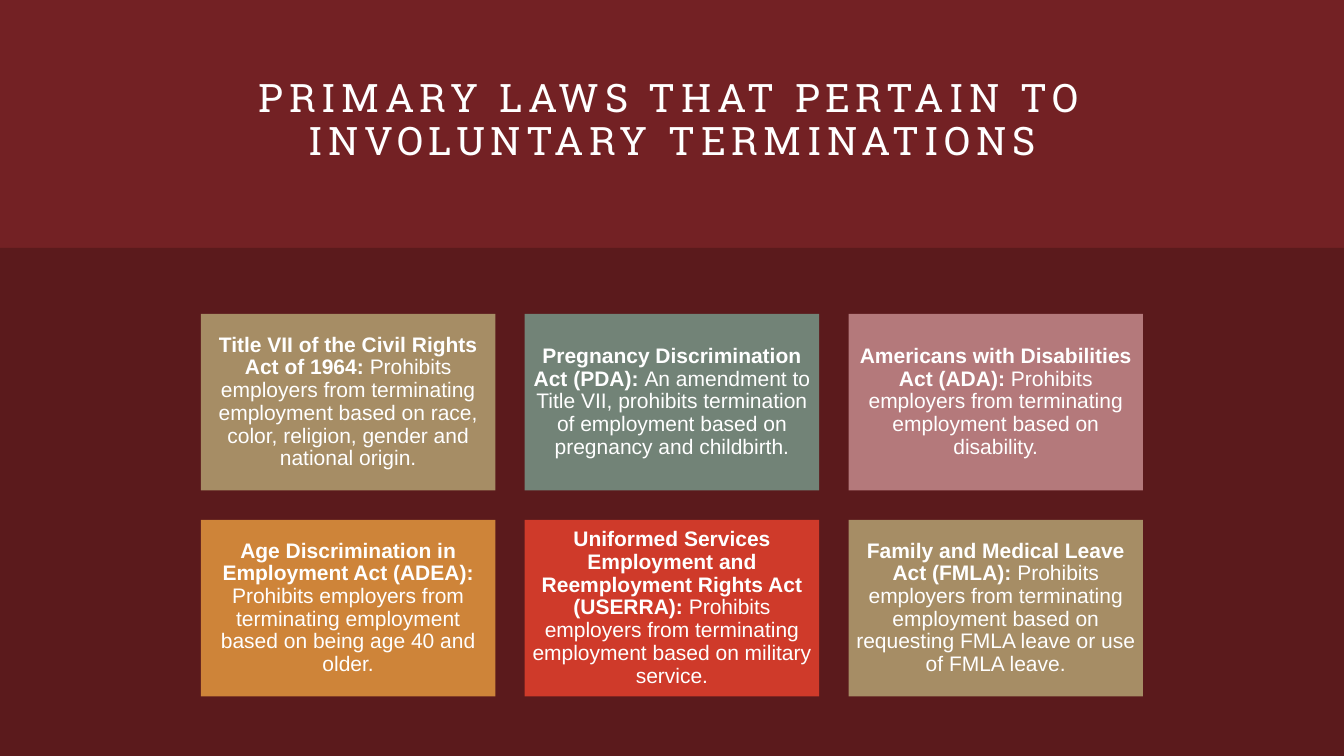
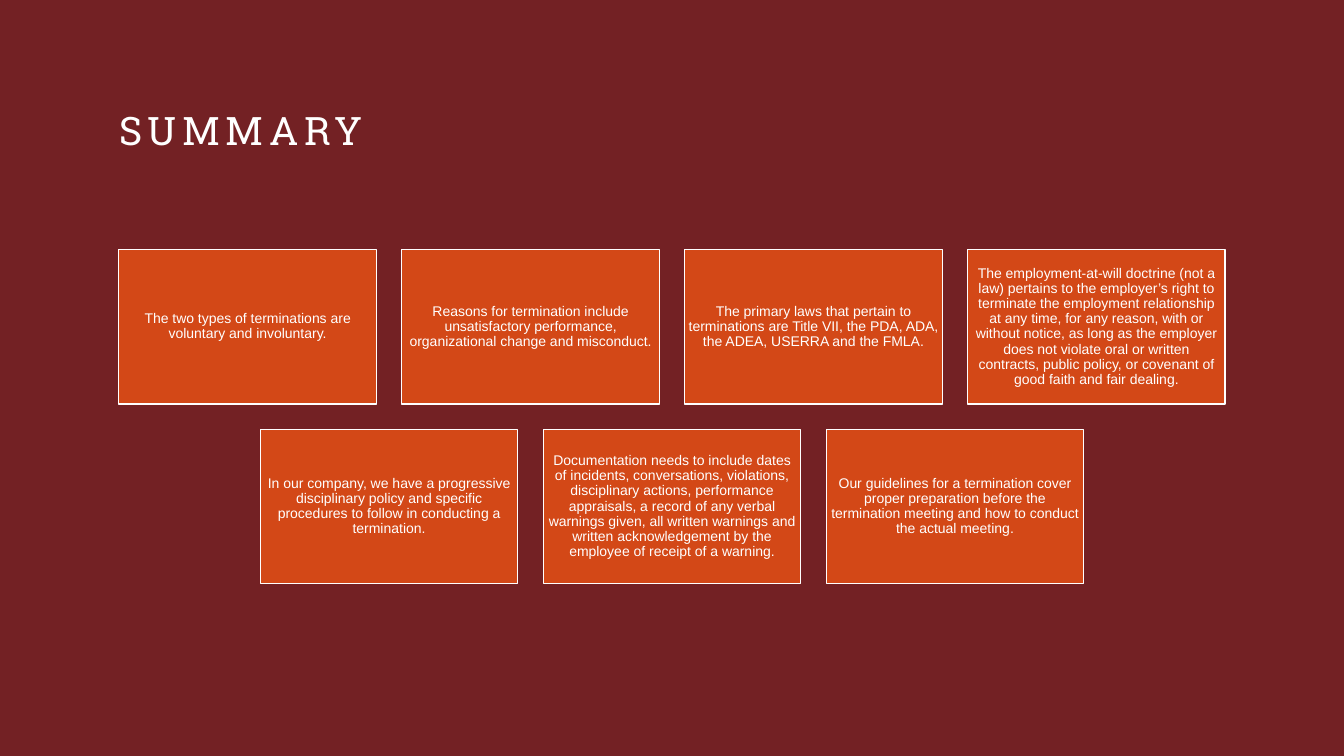
from dataclasses import dataclass

from pptx import Presentation
from pptx.dml.color import RGBColor
from pptx.enum.shapes import MSO_SHAPE
from pptx.enum.text import MSO_ANCHOR, PP_ALIGN
from pptx.util import Cm, Pt

RECTANGLE = MSO_SHAPE.RECTANGLE
MIDDLE, TOP = MSO_ANCHOR.MIDDLE, MSO_ANCHOR.TOP
CENTER, LEFT = PP_ALIGN.CENTER, PP_ALIGN.LEFT
TITLE_ONLY = 5


@dataclass(frozen=True)
class Theme:
    background: RGBColor = RGBColor.from_string("732124")
    band: RGBColor = RGBColor.from_string("5B1A1C")
    white: RGBColor = RGBColor.from_string("FFFFFF")
    tan: RGBColor = RGBColor.from_string("A68D65")
    sage: RGBColor = RGBColor.from_string("728377")
    rose: RGBColor = RGBColor.from_string("B4797B")
    amber: RGBColor = RGBColor.from_string("CE8439")
    red: RGBColor = RGBColor.from_string("CF3A2A")
    orange: RGBColor = RGBColor.from_string("D34817")
    title_font: str = "Roboto Slab"
    body_font: str = "Arial"
    title_size: Pt = Pt(28)
    law_size: Pt = Pt(15)
    summary_size: Pt = Pt(10)
    outline: Pt = Pt(0.85)
    title_spacing: str = "400"  # hundredths of a point between letters
    line_spacing: float = 0.9


THEME = Theme()
PAGE_WIDTH, PAGE_HEIGHT = 33.87, 19.05

LAWS = [
    [
        ("Title VII of the Civil Rights Act of 1964: ",
         "Prohibits employers from terminating employment based on race, color, "
         "religion, gender and national origin.", THEME.tan),
        ("Pregnancy Discrimination Act (PDA): ",
         "An amendment to Title VII, prohibits termination of employment based on "
         "pregnancy and childbirth.", THEME.sage),
        ("Americans with Disabilities Act (ADA): ",
         "Prohibits employers from terminating employment based on disability.",
         THEME.rose),
    ],
    [
        ("Age Discrimination in Employment Act (ADEA): ",
         "Prohibits employers from terminating employment based on being age 40 "
         "and older.", THEME.amber),
        ("Uniformed Services Employment and Reemployment Rights Act (USERRA): ",
         "Prohibits employers from terminating employment based on military "
         "service.", THEME.red),
        ("Family and Medical Leave Act (FMLA): ",
         "Prohibits employers from terminating employment based on requesting FMLA "
         "leave or use of FMLA leave.", THEME.tan),
    ],
]

SUMMARY = [
    [
        "The two types of terminations are voluntary and involuntary.",
        "Reasons for termination include unsatisfactory performance, organizational "
        "change and misconduct.",
        "The primary laws that pertain to terminations are Title VII, the PDA, ADA, "
        "the ADEA, USERRA and the FMLA.",
        "The employment-at-will doctrine (not a law) pertains to the employer’s right "
        "to terminate the employment relationship at any time, for any reason, with "
        "or without notice, as long as the employer does not violate oral or written "
        "contracts, public policy, or covenant of good faith and fair dealing.",
    ],
    [
        "In our company, we have a progressive disciplinary policy and specific "
        "procedures to follow in conducting a termination.",
        "Documentation needs to include dates of incidents, conversations, "
        "violations, disciplinary actions, performance appraisals, a record of any "
        "verbal warnings given, all written warnings and written acknowledgement by "
        "the employee of receipt of a warning.",
        "Our guidelines for a termination cover proper preparation before the "
        "termination meeting and how to conduct the actual meeting.",
    ],
]
SUMMARY_CARDS = [[("", text, THEME.orange) for text in row] for row in SUMMARY]


def add_titled_page(deck, title, top, height, align, anchor):
    page = deck.slides.add_slide(deck.slide_layouts[TITLE_ONLY])
    box = page.shapes.title
    box.left, box.top, box.width, box.height = Cm(3), Cm(top), Cm(27.87), Cm(height)
    frame = box.text_frame
    frame.text = title
    frame.vertical_anchor = anchor
    frame.margin_left = frame.margin_right = frame.margin_top = frame.margin_bottom = 0
    para = frame.paragraphs[0]
    para.alignment = align
    para.line_spacing = THEME.line_spacing
    span = para.runs[0]
    span.font.name = THEME.title_font
    span.font.size = THEME.title_size
    span.font.color.rgb = THEME.white
    span.font._element.set("spc", THEME.title_spacing)
    return page


def add_cards(page, rows, top, width, height, gap, inset, size, outlined):
    """Stack rows of (bold lead, text, fill) cards, each row centred on the page."""
    for row_index, row in enumerate(rows):
        row_width = len(row) * width + (len(row) - 1) * gap
        row_left = (PAGE_WIDTH - row_width) / 2
        row_top = top + row_index * (height + gap)
        for column, (lead, text, fill) in enumerate(row):
            card = page.shapes.add_shape(
                RECTANGLE, Cm(row_left + column * (width + gap)), Cm(row_top),
                Cm(width), Cm(height))
            card.shadow.inherit = False
            card.fill.solid()
            card.fill.fore_color.rgb = fill
            if outlined:
                card.line.color.rgb = THEME.white
                card.line.width = THEME.outline
            else:
                card.line.fill.background()
            frame = card.text_frame
            frame.word_wrap = True
            frame.vertical_anchor = MIDDLE
            frame.margin_left = frame.margin_right = Cm(inset)
            frame.margin_top = frame.margin_bottom = Cm(inset)
            para = frame.paragraphs[0]
            para.alignment = CENTER
            para.line_spacing = THEME.line_spacing
            for words, bold in ((lead, True), (text, False)):
                if words:
                    span = para.add_run()
                    span.text = words
                    span.font.name = THEME.body_font
                    span.font.size = size
                    span.font.bold = bold
                    span.font.color.rgb = THEME.white


deck = Presentation()
deck.slide_width, deck.slide_height = Cm(PAGE_WIDTH), Cm(PAGE_HEIGHT)
master_fill = deck.slide_master.background.fill
master_fill.solid()
master_fill.fore_color.rgb = THEME.background

# Primary laws
laws_page = add_titled_page(
    deck, "PRIMARY LAWS THAT PERTAIN TO INVOLUNTARY TERMINATIONS",
    top=1.5, height=3.12, align=CENTER, anchor=MIDDLE)
band_top = 6.25
band = laws_page.shapes.add_shape(
    RECTANGLE, 0, Cm(band_top), Cm(PAGE_WIDTH), Cm(PAGE_HEIGHT - band_top))
band.shadow.inherit = False
band.fill.solid()
band.fill.fore_color.rgb = THEME.band
band.line.fill.background()
add_cards(laws_page, LAWS, top=7.91, width=7.42, height=4.45, gap=0.74,
          inset=0.15, size=THEME.law_size, outlined=False)

# Summary
summary_page = add_titled_page(
    deck, "SUMMARY", top=2.82, height=1.83, align=LEFT, anchor=TOP)
add_cards(summary_page, SUMMARY_CARDS, top=6.29, width=6.49, height=3.89, gap=0.64,
          inset=0.1, size=THEME.summary_size, outlined=True)

deck.save("out.pptx")
